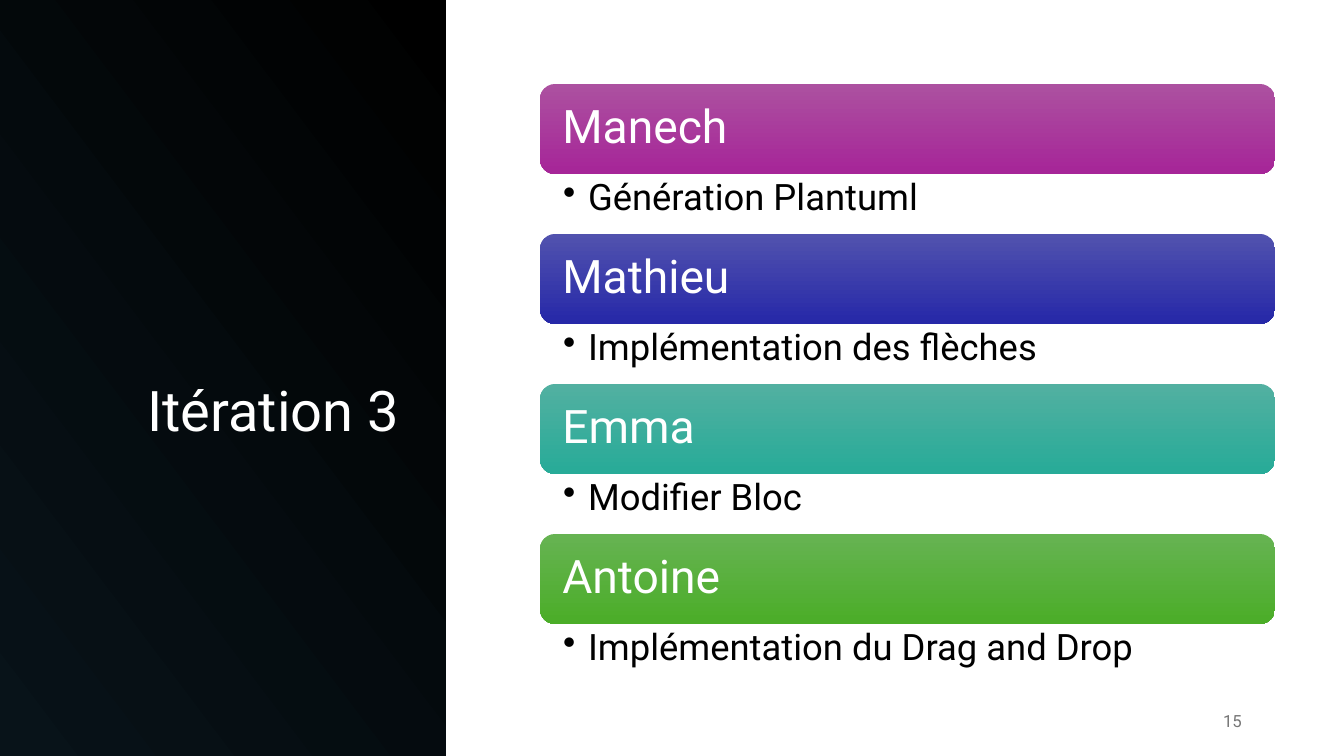
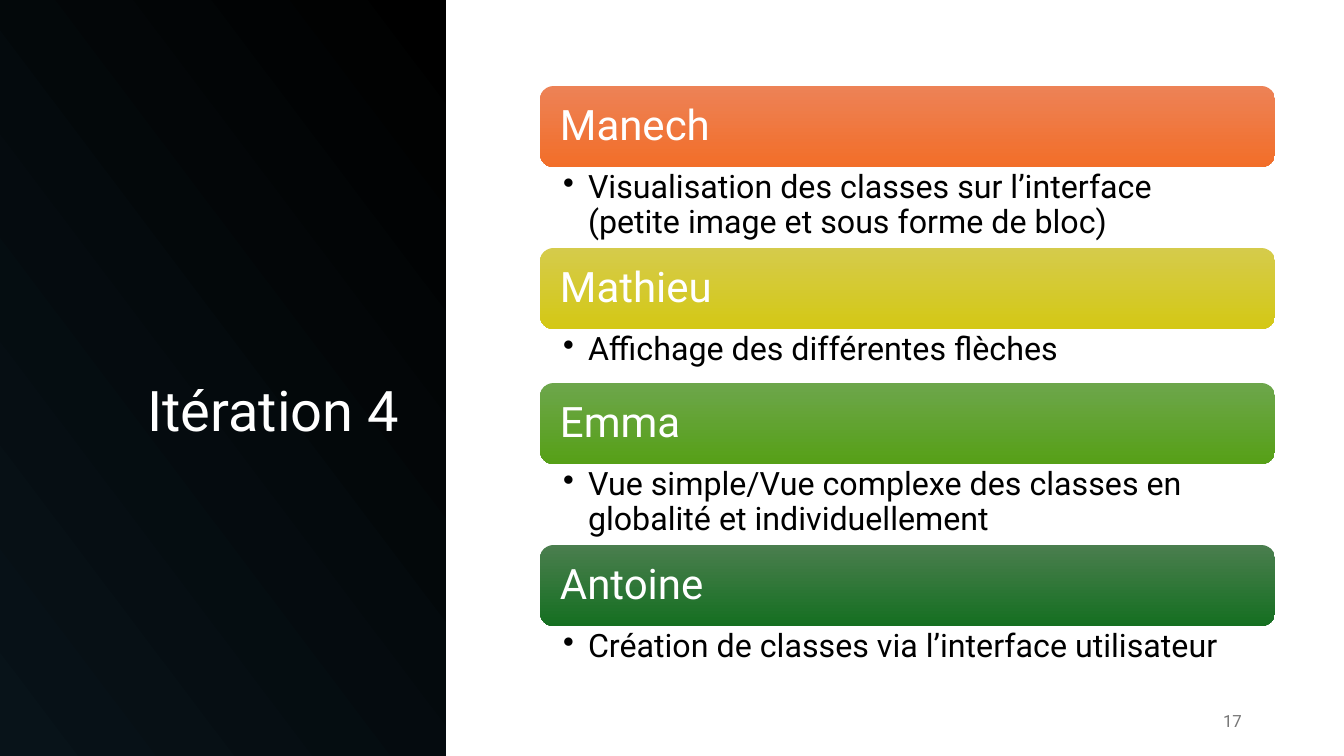
"""Build two iteration slides listing each team member's task."""
from dataclasses import dataclass

from lxml.etree import SubElement
from pptx import Presentation
from pptx.dml.color import RGBColor
from pptx.enum.shapes import MSO_SHAPE
from pptx.enum.text import MSO_ANCHOR, MSO_AUTO_SIZE, PP_ALIGN
from pptx.oxml.ns import qn
from pptx.presentation import Presentation as PresentationType
from pptx.shapes.autoshape import Shape
from pptx.slide import Slide
from pptx.text.text import _Paragraph as Paragraph
from pptx.util import Emu, Pt

EMU_PER_PX = 914400 / 100.8
SLIDE_WIDTH, SLIDE_HEIGHT = 1344, 756
PANEL_WIDTH = 446
LIST_LEFT, LIST_WIDTH = 540, 735
BULLET_INDENT = 25
FONT = "Roboto"
DOWNWARD, TOWARD_BOTTOM_LEFT = 270, 217

WHITE = RGBColor(0xFF, 0xFF, 0xFF)
BLACK = RGBColor(0x00, 0x00, 0x00)
NIGHT = RGBColor(0x08, 0x13, 0x19)
GREY = RGBColor(0x76, 0x76, 0x76)
SOFT_PURPLE = RGBColor(0xAC, 0x51, 0xA0)
PURPLE = RGBColor(0xA6, 0x25, 0x98)
SOFT_BLUE = RGBColor(0x51, 0x52, 0xAE)
BLUE = RGBColor(0x26, 0x28, 0xA8)
SOFT_TEAL = RGBColor(0x52, 0xB0, 0xA1)
TEAL = RGBColor(0x27, 0xAB, 0x98)
SOFT_GREEN = RGBColor(0x66, 0xB3, 0x52)
GREEN = RGBColor(0x4B, 0xAD, 0x28)
SOFT_ORANGE = RGBColor(0xED, 0x82, 0x56)
ORANGE = RGBColor(0xF2, 0x6E, 0x29)
SOFT_YELLOW = RGBColor(0xD5, 0xCB, 0x4B)
YELLOW = RGBColor(0xD4, 0xC8, 0x15)
SOFT_LEAF = RGBColor(0x6D, 0xA6, 0x4B)
LEAF = RGBColor(0x56, 0xA0, 0x17)
SOFT_FOREST = RGBColor(0x4A, 0x7E, 0x4E)
FOREST = RGBColor(0x15, 0x6F, 0x21)


@dataclass(frozen=True)
class Task:
    """A team member, the task, its height and the bar's gradient."""
    member: str
    description: str
    height: int
    top_color: RGBColor
    bottom_color: RGBColor


@dataclass(frozen=True)
class ListStyle:
    """Sizes shared by every bar and bullet of one slide."""
    top: int
    bar_height: int
    bar_inset: int
    bar_size: int
    bar_space_after: int
    task_size: int
    task_insets: tuple[int, int, int, int]


@dataclass(frozen=True)
class Iteration:
    """The content of one slide."""
    title: str
    number: int
    style: ListStyle
    tasks: tuple[Task, ...]


ITERATIONS = (
    Iteration("Itération 3", 15, ListStyle(84, 90, 18, 33, 14, 26, (23, 5, 26, 5)), (
        Task("Manech", "Génération Plantuml", 60, SOFT_PURPLE, PURPLE),
        Task("Mathieu", "Implémentation des flèches", 60, SOFT_BLUE, BLUE),
        Task("Emma", "Modifier Bloc", 60, SOFT_TEAL, TEAL),
        Task("Antoine", "Implémentation du Drag and Drop", 60, SOFT_GREEN, GREEN),
    )),
    Iteration("Itération 4", 17, ListStyle(86, 81, 16, 30, 13, 23, (23, 4, 23, 4)), (
        Task("Manech", "Visualisation des classes sur l’interface (petite image et sous forme de bloc)",
             81, SOFT_ORANGE, ORANGE),
        Task("Mathieu", "Affichage des différentes flèches", 54, SOFT_YELLOW, YELLOW),
        Task("Emma", "Vue simple/Vue complexe des classes en globalité et individuellement",
             81, SOFT_LEAF, LEAF),
        Task("Antoine", "Création de classes via l’interface utilisateur", 54, SOFT_FOREST, FOREST),
    )),
)


def px(length: int) -> Emu:
    """Turn pixels into EMU."""
    return Emu(round(length * EMU_PER_PX))


def add_bullet(paragraph: Paragraph) -> None:
    """Give a paragraph a black hanging bullet."""
    properties = paragraph._p.get_or_add_pPr()
    properties.set("marL", str(px(BULLET_INDENT)))
    properties.set("indent", str(-px(BULLET_INDENT)))
    color = SubElement(properties, qn("a:buClr"))
    SubElement(color, qn("a:srgbClr"), val=str(BLACK))
    SubElement(properties, qn("a:buChar"), char="•")


def write_text(shape: Shape, text: str, *, size: int, color: RGBColor,
               align: PP_ALIGN = PP_ALIGN.LEFT, anchor: MSO_ANCHOR = MSO_ANCHOR.MIDDLE,
               insets: tuple[int, int, int, int] = (10, 5, 10, 5),
               line_spacing: float = 0.9, space_after: int = 0, bullet: bool = False) -> None:
    """Write one formatted paragraph into a shape."""
    frame = shape.text_frame
    frame.word_wrap = True
    frame.auto_size = MSO_AUTO_SIZE.NONE
    frame.vertical_anchor = anchor
    frame.margin_left, frame.margin_top, frame.margin_right, frame.margin_bottom = map(px, insets)
    paragraph = frame.paragraphs[0]
    if bullet:
        paragraph.level = 1
        add_bullet(paragraph)
    paragraph.alignment = align
    paragraph.line_spacing = line_spacing
    paragraph.space_before = Pt(0)
    paragraph.space_after = Pt(space_after)
    run = paragraph.add_run()
    run.text = text
    run.font.name = FONT
    run.font.size = Pt(size)
    run.font.color.rgb = color


def add_gradient_shape(slide: Slide, kind: MSO_SHAPE, left: int, top: int, width: int, height: int,
                       colors: tuple[RGBColor, RGBColor], angle: int) -> Shape:
    """Add an unlined preset shape with a two-colour gradient."""
    shape = slide.shapes.add_shape(kind, px(left), px(top), px(width), px(height))
    shape.shadow.inherit = False
    shape.line.fill.background()
    shape.fill.gradient()
    shape.fill.gradient_angle = angle
    for stop, color in zip(shape.fill.gradient_stops, colors):
        stop.color.rgb = color
    return shape


def add_text_box(slide: Slide, left: int, top: int, width: int, height: int) -> Shape:
    """Add an empty text box."""
    return slide.shapes.add_textbox(px(left), px(top), px(width), px(height))


def add_title_panel(slide: Slide, text: str) -> None:
    """Place the title over the dark panel on the left."""
    panel = add_gradient_shape(slide, MSO_SHAPE.RECTANGLE, 0, 0, PANEL_WIDTH, SLIDE_HEIGHT,
                               (BLACK, NIGHT), TOWARD_BOTTOM_LEFT)
    title = slide.shapes.title
    title.element.addprevious(panel.element)
    title.left, title.top, title.width, title.height = map(px, (65, 185, 344, 264))
    write_text(title, text, size=40, color=WHITE, align=PP_ALIGN.RIGHT, anchor=MSO_ANCHOR.BOTTOM)


def add_task_list(slide: Slide, tasks: tuple[Task, ...], style: ListStyle) -> None:
    """Stack a name bar and a bullet for each task."""
    top = style.top
    for task in tasks:
        bar = add_gradient_shape(slide, MSO_SHAPE.ROUNDED_RECTANGLE, LIST_LEFT, top, LIST_WIDTH,
                                 style.bar_height, (task.top_color, task.bottom_color), DOWNWARD)
        write_text(bar, task.member, size=style.bar_size, color=WHITE,
                   insets=(style.bar_inset,) * 4, space_after=style.bar_space_after)
        top += style.bar_height
        description = add_text_box(slide, LIST_LEFT, top, LIST_WIDTH, task.height)
        write_text(description, task.description, size=style.task_size, color=BLACK,
                   anchor=MSO_ANCHOR.TOP, insets=style.task_insets, space_after=6, bullet=True)
        top += task.height


def add_iteration(presentation: PresentationType, iteration: Iteration) -> None:
    """Add the slide of one iteration."""
    slide = presentation.slides.add_slide(presentation.slide_layouts.get_by_name("Title Only"))
    add_title_panel(slide, iteration.title)
    add_task_list(slide, iteration.tasks, iteration.style)
    number = add_text_box(slide, 950, 701, 302, 40)
    write_text(number, str(iteration.number), size=12, color=GREY,
               align=PP_ALIGN.RIGHT, line_spacing=1.0)


def main() -> None:
    """Build and save the presentation."""
    presentation = Presentation()
    presentation.slide_width = px(SLIDE_WIDTH)
    presentation.slide_height = px(SLIDE_HEIGHT)
    for iteration in ITERATIONS:
        add_iteration(presentation, iteration)
    presentation.save("out.pptx")


if __name__ == "__main__":
    main()
